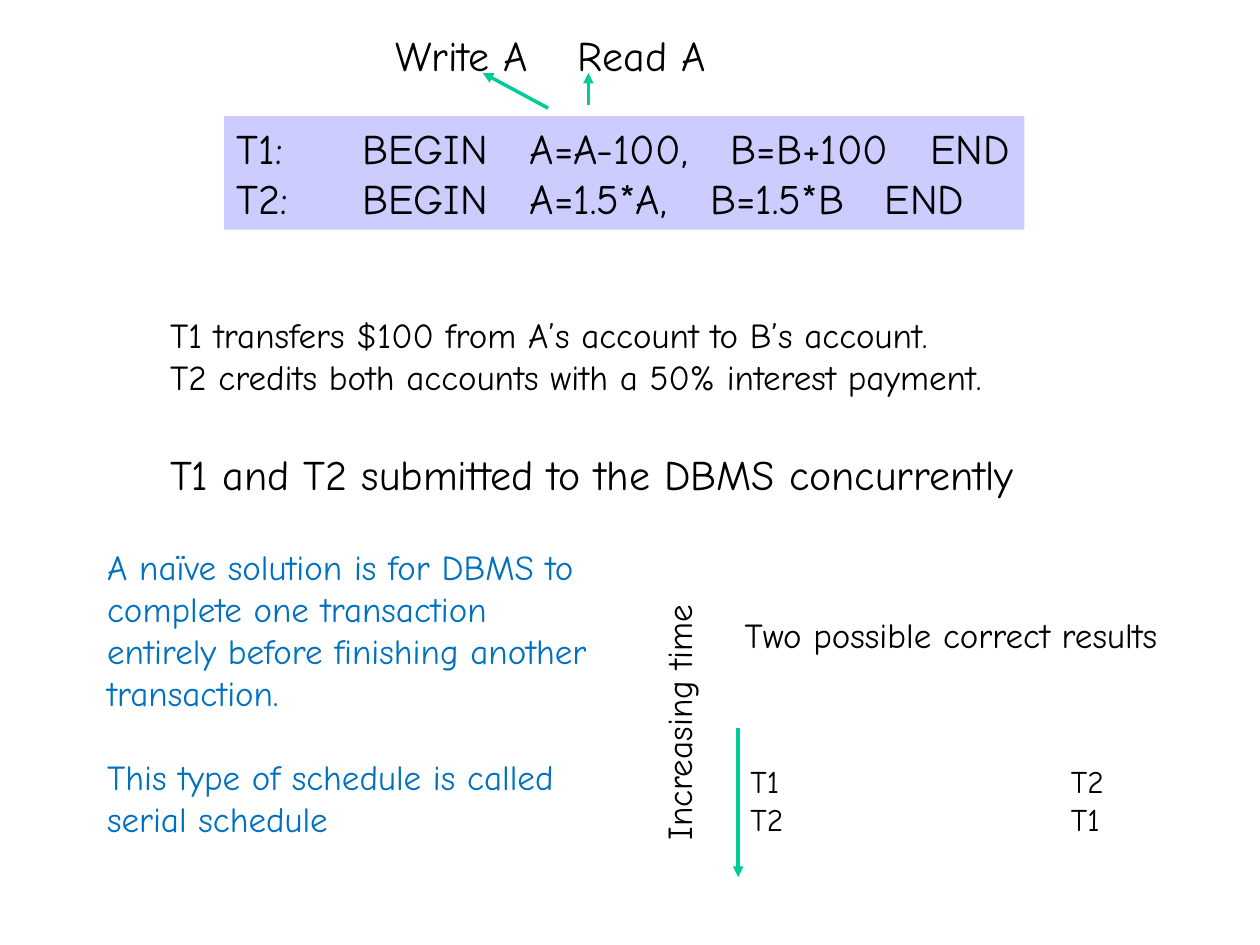
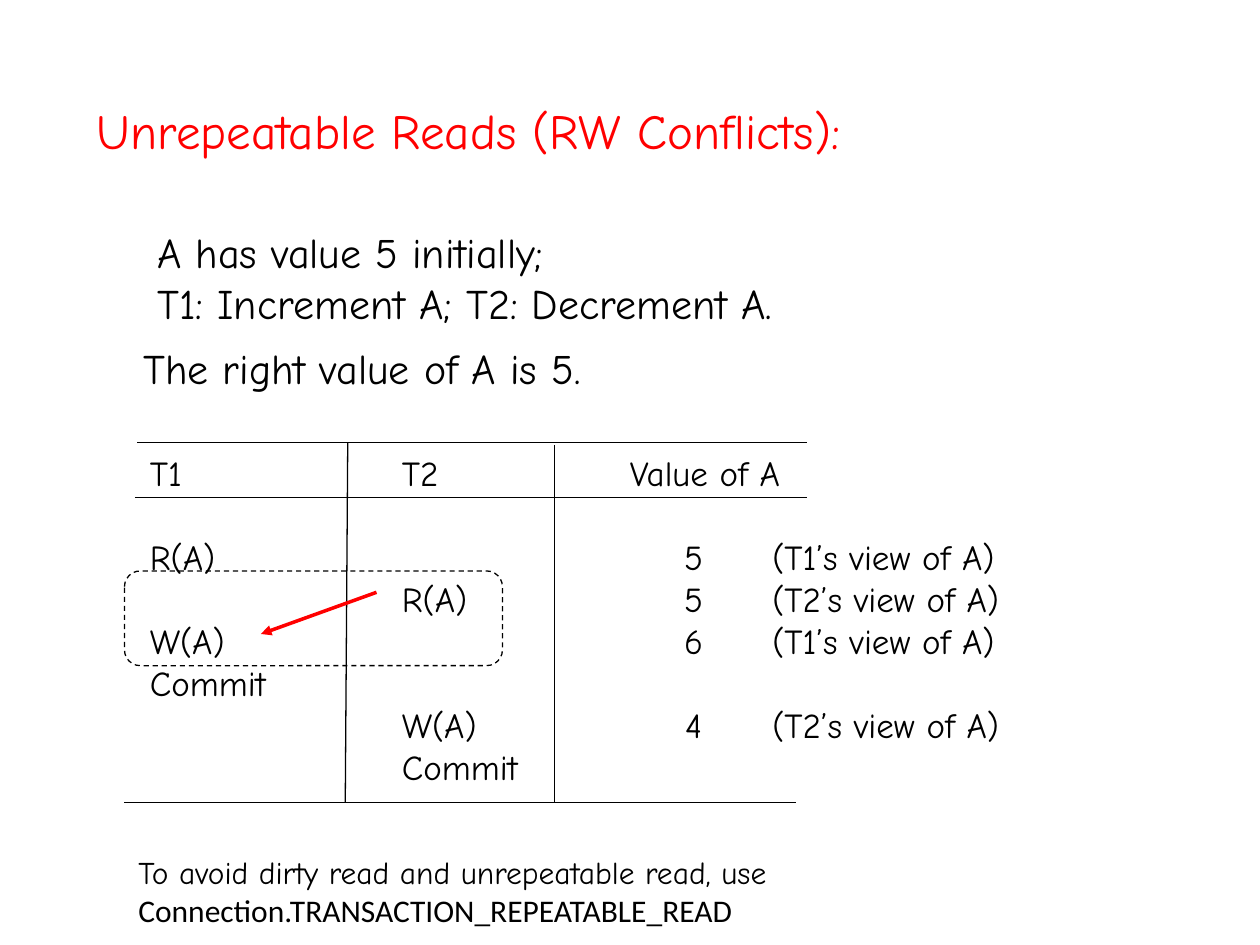
"""Build two slides on transaction schedules and unrepeatable reads."""
from dataclasses import dataclass

from pptx import Presentation
from pptx.dml.color import RGBColor
from pptx.enum.dml import MSO_LINE
from pptx.enum.shapes import MSO_CONNECTOR, MSO_SHAPE
from pptx.enum.text import MSO_ANCHOR, MSO_AUTO_SIZE, PP_ALIGN
from pptx.oxml.ns import qn
from pptx.slide import Slide
from pptx.text.text import _Paragraph
from pptx.util import Cm, Pt

STRAIGHT = MSO_CONNECTOR.STRAIGHT
RECT, ROUND_RECT = MSO_SHAPE.RECTANGLE, MSO_SHAPE.ROUNDED_RECTANGLE
DASH, TOP, LEFT = MSO_LINE.DASH, MSO_ANCHOR.TOP, PP_ALIGN.LEFT
GROW = MSO_AUTO_SIZE.SHAPE_TO_FIT_TEXT

BLACK = RGBColor(0x00, 0x00, 0x00)
RED = RGBColor(0xFF, 0x00, 0x00)
BLUE = RGBColor(0x00, 0x70, 0xC0)
GREEN = RGBColor(0x00, 0xCC, 0x99)
LILAC = RGBColor(0xCC, 0xCC, 0xFF)

BODY_FONT, CODE_FONT = "Comic Neue", "Calibri"
LARGE, MEDIUM, SMALL = 24, 20, 18
MEDIUM_LINE, LARGE_LINE = 24, 29
THIN, THICK = 0.75, 2


@dataclass(frozen=True)
class Run:
    """A piece of text with its font."""
    text: str
    font: str = BODY_FONT


@dataclass(frozen=True)
class Para:
    """A paragraph with its size, space before and tab stops in cm."""
    runs: tuple[Run, ...]
    size: float
    before: float = 0
    tabs: tuple[float, ...] = ()


@dataclass(frozen=True)
class TextBox:
    """A block of text, placed in cm."""
    x: float
    y: float
    w: float
    h: float
    paras: tuple[Para, ...]
    color: RGBColor = BLACK
    wrap: bool = False
    fill: RGBColor | None = None
    rotation: float = 0


@dataclass(frozen=True)
class Line:
    """A straight line, placed in cm."""
    x1: float
    y1: float
    x2: float
    y2: float
    color: RGBColor = BLACK
    width: float = THIN
    arrow: bool = False


def para(text: str, size: float, before: float = 0, tabs: tuple[float, ...] = ()) -> Para:
    """Return a paragraph of one run."""
    return Para((Run(text),), size, before, tabs)


def paras(size: float, *texts: str) -> tuple[Para, ...]:
    """Return one plain paragraph per text."""
    return tuple(para(text, size) for text in texts)


def arrow(x1: float, y1: float, x2: float, y2: float, color: RGBColor = GREEN) -> Line:
    """Return a thick line with a head at its end."""
    return Line(x1, y1, x2, y2, color, THICK, True)


def fill_paragraph(p: _Paragraph, item: Para, color: RGBColor) -> None:
    """Write the runs, spacing and tab stops of a paragraph."""
    p.alignment = LEFT
    p.space_before = Pt(item.before)
    if item.tabs:
        stops = p._p.get_or_add_pPr().makeelement(qn("a:tabLst"), {})
        for tab in item.tabs:
            stop = stops.makeelement(qn("a:tab"), {"pos": str(Cm(tab)), "algn": "l"})
            stops.append(stop)
        p._p.get_or_add_pPr().append(stops)
    for run in item.runs:
        r = p.add_run()
        r.text = run.text
        r.font.name = run.font
        r.font.size = Pt(item.size)
        r.font.color.rgb = color


def draw_text(s: Slide, box: TextBox) -> None:
    """Draw a text box, or a filled rectangle with text."""
    place = Cm(box.x), Cm(box.y), Cm(box.w), Cm(box.h)
    if box.fill is None:
        sp = s.shapes.add_textbox(*place)
    else:
        sp = s.shapes.add_shape(RECT, *place)
        sp.shadow.inherit = False
        sp.fill.solid()
        sp.fill.fore_color.rgb = box.fill
        sp.line.fill.background()
    sp.rotation = box.rotation
    tf = sp.text_frame
    tf.word_wrap = box.wrap
    tf.auto_size = GROW
    tf.vertical_anchor = TOP
    for i, item in enumerate(box.paras):
        p = tf.add_paragraph() if i else tf.paragraphs[0]
        fill_paragraph(p, item, box.color)


def draw_line(s: Slide, line: Line) -> None:
    """Draw a line, with an arrowhead if asked."""
    sp = s.shapes.add_connector(
        STRAIGHT, Cm(line.x1), Cm(line.y1), Cm(line.x2), Cm(line.y2))
    sp.line.color.rgb = line.color
    sp.line.width = Pt(line.width)
    props = sp._element.spPr
    if line.arrow:
        ln = sp.line._get_or_add_ln()
        ln.append(ln.makeelement(qn("a:tailEnd"), {"type": "triangle"}))
    props.append(props.makeelement(qn("a:effectLst"), {}))


def draw_dashed_frame(s: Slide, x: float, y: float, w: float, h: float) -> None:
    """Draw an unfilled rounded frame with a dashed line."""
    sp = s.shapes.add_shape(ROUND_RECT, Cm(x), Cm(y), Cm(w), Cm(h))
    sp.shadow.inherit = False
    sp.fill.background()
    sp.line.color.rgb = BLACK
    sp.line.width = Pt(THIN)
    sp.line.dash_style = DASH


def draw_all(s: Slide, items: tuple[TextBox | Line, ...]) -> None:
    """Draw text boxes and lines from back to front."""
    for item in items:
        if isinstance(item, Line):
            draw_line(s, item)
        else:
            draw_text(s, item)


def build_serial_schedule(s: Slide) -> None:
    """Build the slide on two concurrent transactions."""
    draw_all(s, (
        TextBox(4.52, 2.34, 16.13, 2.29, (
            para("T1:\tBEGIN\tA=A-100,\tB=B+100\tEND", LARGE,
                 tabs=(2.54, 5.91, 9.96, 13.99)),
            para("T2:\tBEGIN\tA=1.5*A,\tB=1.5*B\tEND", LARGE,
                 tabs=(2.54, 5.91, 9.55, 13.07)),
        ), fill=LILAC),
        TextBox(3.18, 6.2, 21.59, 3.99, (
            para("T1 transfers $100 from A’s account to B’s account.", MEDIUM),
            para("T2 credits both accounts with a 50% interest payment.", MEDIUM),
            para("T1 and T2 submitted to the DBMS concurrently", LARGE, LARGE_LINE),
        ), wrap=True),
        TextBox(1.91, 10.87, 10.36, 6.2, (
            para("A naïve solution is for DBMS to complete one transaction "
                 "entirely before finishing another transaction.", MEDIUM),
            para("This type of schedule is called serial schedule", MEDIUM, MEDIUM_LINE),
        ), BLUE, wrap=True),
        TextBox(14.88, 15.24, 6.35, 1.78, paras(SMALL, "T1", "T2"), wrap=True),
        TextBox(21.34, 15.24, 6.35, 1.78, paras(SMALL, "T2", "T1"), wrap=True),
        arrow(14.88, 14.68, 14.88, 17.68),
        TextBox(14.76, 12.24, 8.86, 1.12, paras(MEDIUM, "Two possible correct results")),
        TextBox(11.05, 14, 5.26, 1.12, paras(MEDIUM, "Increasing time"), rotation=270),
        arrow(11.86, 2.11, 11.86, 1.47),
        TextBox(11.4, 0.48, 3.1, 1.27, paras(LARGE, "Read A")),
        arrow(11.05, 2.18, 9.73, 1.47),
        TextBox(7.72, 0.48, 3.2, 1.27, paras(LARGE, "Write A")),
    ))


def build_unrepeatable_reads(s: Slide) -> None:
    """Build the slide on read-write conflicts."""
    t2_tab = (5.08,)
    steps = ("R(A)", "\tR(A)", "W(A)", "Commit", "\tW(A)", "\tCommit")
    schedule = (para("T1\tT2", MEDIUM, tabs=t2_tab),) + tuple(
        para(step, MEDIUM, 0 if i else MEDIUM_LINE, t2_tab)
        for i, step in enumerate(steps))
    t1_view, t2_view = "(T1’s view of A)", "(T2’s view of A)"
    draw_all(s, (
        TextBox(1.7, 1.91, 22.66, 1.45,
                paras(28, "Unrepeatable Reads (RW Conflicts):"), RED, wrap=True),
        TextBox(2.92, 4.45, 12.93, 2.29, paras(
            LARGE, "A has value 5 initially;", "T1: Increment A; T2: Decrement A.")),
        TextBox(2.77, 8.97, 7.92, 7.04, schedule),
        Line(7.01, 8.92, 6.96, 16.18),
        Line(2.77, 8.92, 16.26, 8.92),
        Line(2.51, 16.18, 16.05, 16.18),
        Line(2.72, 10.03, 16.26, 10.03),
        Line(11.18, 8.97, 11.18, 16.18),
        TextBox(2.64, 6.78, 9.32, 1.27, paras(LARGE, "The right value of A is 5.")),
        TextBox(12.45, 8.97, 3.58, 1.12, paras(MEDIUM, "Value of A")),
        TextBox(13.54, 10.67, 0.89, 2.79, paras(MEDIUM, "5", "5", "6")),
        TextBox(13.56, 14.05, 0.84, 1.12, paras(MEDIUM, "4")),
        TextBox(15.32, 10.67, 5.08, 5.33, (
            *paras(MEDIUM, t1_view, t2_view, t1_view),
            para(t2_view, MEDIUM, MEDIUM_LINE))),
    ))
    draw_dashed_frame(s, 2.51, 11.51, 7.62, 1.91)
    draw_all(s, (
        arrow(7.59, 11.94, 5.26, 12.78, RED),
        TextBox(2.54, 17.07, 20.96, 1.78, (Para((
            Run("To avoid dirty read and unrepeatable read, use "),
            Run("Connection.TRANSACTION_REPEATABLE_READ", CODE_FONT),
        ), SMALL),), wrap=True),
    ))


def main() -> None:
    """Build and save the presentation."""
    prs = Presentation()
    prs.slide_width, prs.slide_height = Cm(25.4), Cm(19.05)
    for build in (build_serial_schedule, build_unrepeatable_reads):
        build(prs.slides.add_slide(prs.slide_layouts[6]))
    prs.save("out.pptx")


if __name__ == "__main__":
    main()
